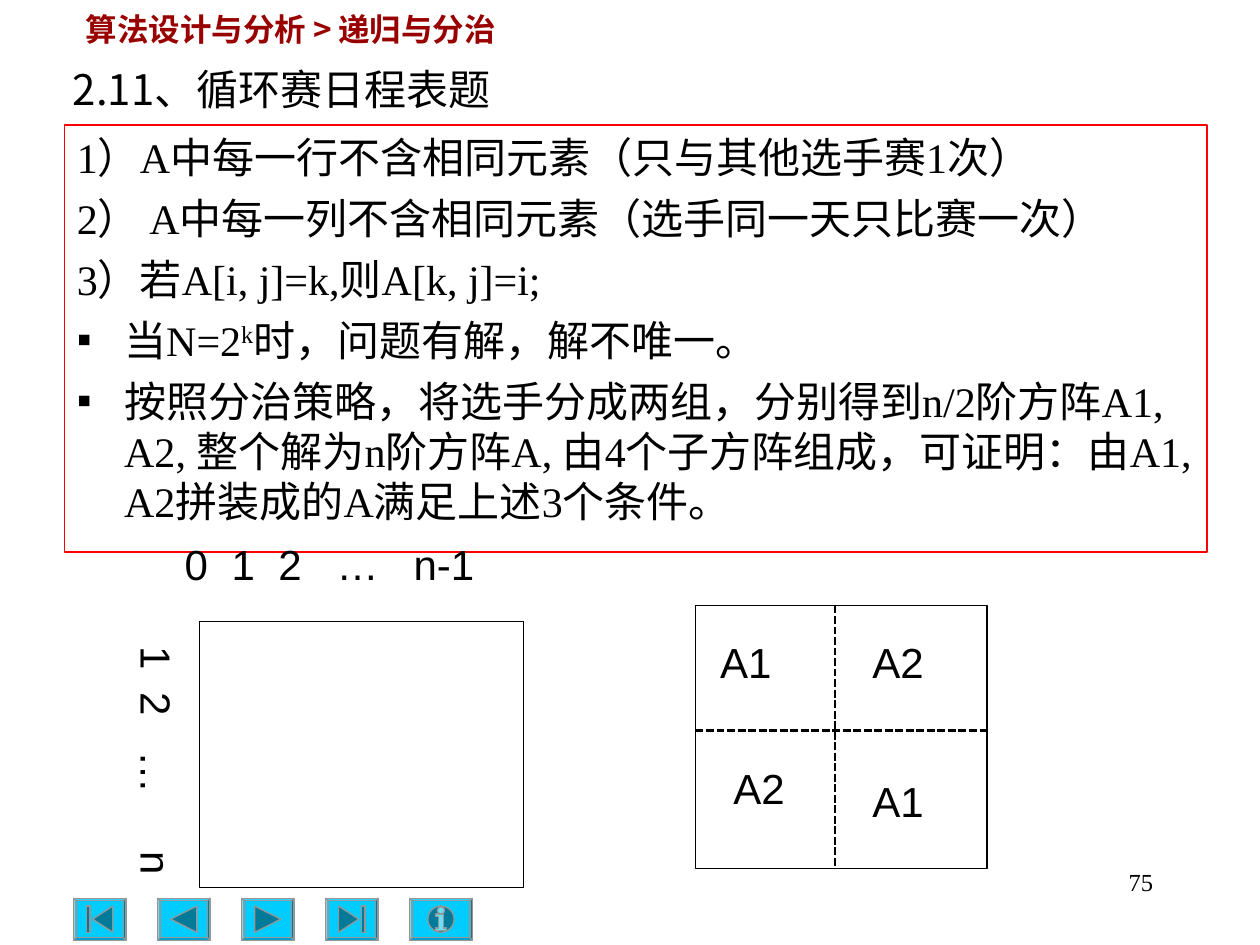
from dataclasses import dataclass
from lxml.etree import SubElement as Sub
from pptx import Presentation
from pptx.dml.color import RGBColor as Rgb
from pptx.enum.dml import MSO_LINE as Dash
from pptx.enum.shapes import MSO_CONNECTOR as Wire, MSO_SHAPE as Form
from pptx.enum.text import MSO_ANCHOR as Anchor, MSO_AUTO_SIZE as Fit, PP_ALIGN as Align
from pptx.oxml.ns import qn
from pptx.util import Pt


@dataclass
class Theme:
    ink: str = "000000"
    head: str = "990000"
    frame: str = "FF0000"
    key: str = "00CCFF"
    edge: str = "969696"
    icon: str = "007A99"
    glow: str = "66E0FF"
    cjk: str = "Noto Sans CJK SC"
    serif: str = "Times New Roman"
    sans: str = "Arial"
    main: int = 24
    top: int = 18
    gap: int = 16
    page: int = 14


theme = Theme()


def style(para, size, face, color=theme.ink, bold=False):
    for run in para.runs:
        font = run.font
        font.size, font.name, font.bold = Pt(size), face, bold
        font.color.rgb = Rgb.from_string(color)
        Sub(run._r.get_or_add_rPr(), qn("a:ea")).set("typeface", theme.cjk)


def paint(shape, fill, line=None, width=0.75):
    shape.shadow.inherit = False
    if fill:
        shape.fill.solid()
        shape.fill.fore_color.rgb = Rgb.from_string(fill)
    else:
        shape.fill.background()
    if line:
        shape.line.color.rgb = Rgb.from_string(line)
        shape.line.width = Pt(width)
    else:
        shape.line.fill.background()


deck = Presentation()
deck.slide_width, deck.slide_height = Pt(720), Pt(540)
slide = deck.slides.add_slide(deck.slide_layouts[1])
shapes = slide.shapes

box = shapes.add_textbox(Pt(516), Pt(492), Pt(150), Pt(36))
box.text_frame.word_wrap = True
box.text_frame.text = "75"
para = box.text_frame.paragraphs[0]
para.alignment = Align.RIGHT
style(para, theme.page, theme.serif)

back = [[(-7.5, 0), (7.5, -7.5), (7.5, 7.5)]]
first = [[(-4, 0), (7.5, -7.5), (7.5, 7.5)],
         [(-7.5, -7.5), (-5.5, -7.5), (-5.5, 7.5), (-7.5, 7.5)]]
next_, last = [[[(-x, y) for x, y in part] for part in icon] for icon in (back, first)]
info = [[(-3, -3), (1.5, -3), (1.5, 5), (3, 5), (3, 6.5),
         (-3, 6.5), (-3, 5), (-1.5, 5), (-1.5, -1.5), (-3, -1.5)]]
mid = 525.25
for i, icon in enumerate([first, back, next_, last, info]):
    wide = 36 if icon is info else 30
    left = 42 + 48 * i
    hub = left + wide / 2
    key = shapes.add_shape(Form.BEVEL, Pt(left), Pt(mid - 12), Pt(wide), Pt(24))
    key.adjustments[0] = 0.06
    paint(key, theme.key, theme.edge)
    tint = theme.icon
    if icon is info:
        for drop, size, tint in [(0, 15, theme.icon), (-5, 4, theme.glow)]:
            disc = shapes.add_shape(Form.OVAL, Pt(hub - size / 2),
                                    Pt(mid + drop - size / 2), Pt(size), Pt(size))
            paint(disc, tint, theme.edge)
    for part in icon:
        spots = [(Pt(hub + x), Pt(mid + y)) for x, y in part]
        path = shapes.build_freeform(*spots[0])
        path.add_line_segments(spots[1:])
        paint(path.convert_to_shape(), tint, theme.edge)

title = shapes.title
title.left, title.top, title.width, title.height = Pt(34.5), Pt(36), Pt(260), Pt(33)
frame = title.text_frame
frame.text = "2.11、循环赛日程表题"
frame.word_wrap, frame.auto_size = False, Fit.NONE
frame.vertical_anchor = Anchor.MIDDLE
para = frame.paragraphs[0]
para.alignment, para.line_spacing = Align.LEFT, 0.9
style(para, theme.main, theme.cjk)

box = shapes.add_textbox(Pt(42), Pt(0), Pt(282), Pt(31))
box.text_frame.word_wrap = True
para = box.text_frame.paragraphs[0]
para.line_spacing = 1.1
for text in ["算法设计与分析 >", " ", "递归与分治"]:
    para.add_run().text = text
style(para, theme.top, theme.cjk, theme.head, True)
para.runs[1].font.size = Pt(theme.gap)

body = slide.placeholders[1]
body.left, body.top, body.width, body.height = Pt(36.75), Pt(71.5), Pt(653), Pt(244)
body.line.color.rgb = Rgb.from_string(theme.frame)
body.line.width = Pt(0.75)
frame = body.text_frame
frame.word_wrap, frame.auto_size = True, Fit.NONE
frame.vertical_anchor = Anchor.TOP
rows = [
    (False, ["1）A中每一行不含相同元素（只与其他选手赛1次）"]),
    (False, ["2） A中每一列不含相同元素（选手同一天只比赛一次）"]),
    (False, ["3）若A[i, j]=k,则A[k, j]=i;"]),
    (True, ["当N=2", "k", "时，问题有解，解不唯一。"]),
    (True, ["按照分治策略，将选手分成两组，分别得到n/2阶方阵A1, A2, 整个解为n阶方阵A, "
            "由4个子方阵组成，可证明：由A1, A2拼装成的A满足上述3个条件。"]),
]
for i, (mark, parts) in enumerate(rows):
    para = frame.add_paragraph() if i else frame.paragraphs[0]
    props = para._p.get_or_add_pPr()
    props.set("marL", str(Pt(27)))
    props.set("indent", str(Pt(-27)))
    if mark:
        Sub(Sub(props, qn("a:buClr")), qn("a:srgbClr")).set("val", theme.ink)
        Sub(props, qn("a:buFont")).set("typeface", theme.sans)
        Sub(props, qn("a:buChar")).set("char", "▪")
    else:
        Sub(props, qn("a:buNone"))
    para.space_before = Pt(6 if i else 0)
    for text in parts:
        para.add_run().text = text
    style(para, theme.main, theme.serif)
    if len(parts) > 1:
        para.runs[1]._r.get_or_add_rPr().set("baseline", "30000")

grid = shapes.add_group_shape().shapes
rect = grid.add_shape(Form.RECTANGLE, Pt(114), Pt(355), Pt(185), Pt(152))
paint(rect, None, theme.ink)
quad = shapes.add_group_shape().shapes
rect = quad.add_shape(Form.RECTANGLE, Pt(397.5), Pt(346), Pt(166.5), Pt(150.5))
paint(rect, None, theme.ink)
for ends in [(397.5, 417.5, 564, 417.5), (477.25, 346, 477.25, 496.5)]:
    rule = quad.add_connector(Wire.STRAIGHT, *map(Pt, ends))
    rule.line.color.rgb = Rgb.from_string(theme.ink)
    rule.line.width = Pt(1.5)
    rule.line.dash_style = Dash.SQUARE_DOT
    Sub(rule._element.spPr, qn("a:effectLst"))

labels = [
    (grid, "0\t1\t2\t…\tn-1", (98.5, 304, 216, 36), [26.75, 53.5, 86.75, 130.75]),
    (grid, "1\t2\t…\tn", (65, 362, 43, 152), [26.75, 60, 117.5]),
    (quad, "A1", (404.5, 360, 57.5, 36), []),
    (quad, "A2", (491.5, 360, 57.5, 36), []),
    (quad, "A2", (412, 432, 57.5, 36), []),
    (quad, "A1", (491.5, 439.5, 57.5, 36), []),
]
for group, text, area, stops in labels:
    box = group.add_textbox(*map(Pt, area))
    frame = box.text_frame
    frame.word_wrap = True
    frame.text = text
    if area[3] > area[2]:
        frame._txBody.bodyPr.set("vert", "eaVert")
        frame.margin_left = frame.margin_right = Pt(3.6)
        frame.margin_top = frame.margin_bottom = Pt(7.2)
    para = frame.paragraphs[0]
    if stops:
        tabs = Sub(para._p.get_or_add_pPr(), qn("a:tabLst"))
        for stop in stops:
            tab = Sub(tabs, qn("a:tab"))
            tab.set("pos", str(Pt(stop)))
            tab.set("algn", "l")
    style(para, theme.main, theme.sans)

deck.save("out.pptx")
